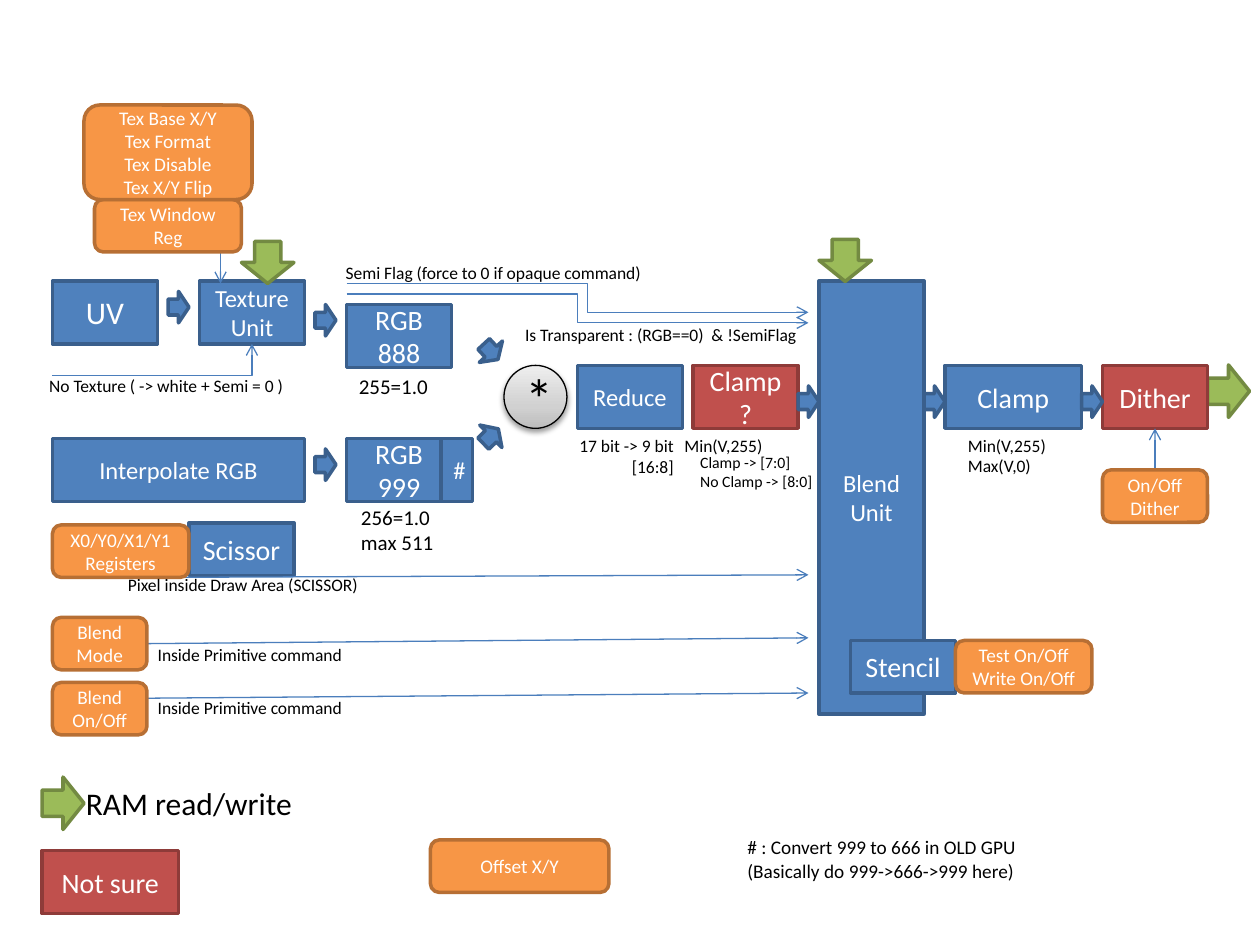
from lxml.etree import SubElement
from pptx import Presentation
from pptx.dml.color import RGBColor
from pptx.enum.shapes import MSO_CONNECTOR, MSO_SHAPE
from pptx.enum.text import MSO_ANCHOR, MSO_AUTO_SIZE, PP_ALIGN
from pptx.oxml.ns import qn
from pptx.util import Pt

BLUE = ("4F81BD", "3A5F8C")
RED = ("C0504D", "8E3B39")
GREEN = ("9BBB59", "738A42")
ORANGE = ("F79646", "B76F34")
WIRE, BLACK, WHITE = "4B7EBC", "000000", "FFFFFF"


def rgb(value):
    """Turn a hex string into a colour."""
    return RGBColor.from_string(value)


def node(parent, tag, **attrs):
    """Append a drawing element with attributes."""
    return SubElement(parent, qn("a:" + tag), {k: str(v) for k, v in attrs.items()})


class Diagram:
    """Draws styled diagram elements on one slide."""

    font = "Calibri"

    def __init__(self, slide):
        """Keep the slide to draw on."""
        self.slide = slide

    def add_text(self, tf, text, size, color, aligns):
        """Fill a frame: newline parts paragraphs, vertical tab breaks a line."""
        for i, line in enumerate(text.split("\n")):
            p = tf.paragraphs[0] if i == 0 else tf.add_paragraph()
            p.alignment = aligns[min(i, len(aligns) - 1)]
            for j, part in enumerate(line.split("\v")):
                if j:
                    p.add_line_break()
                r = p.add_run()
                r.text = part
                r.font.name = self.font
                r.font.size = Pt(size)
                r.font.color.rgb = rgb(color)

    def shape(self, kind, x, y, w, h, colors, text="", size=11, rot=0):
        """Add a filled preset shape with centred text."""
        sp = self.slide.shapes.add_shape(kind, Pt(x), Pt(y), Pt(w), Pt(h))
        sp.shadow.inherit = False
        sp.fill.solid()
        sp.fill.fore_color.rgb = rgb(colors[0])
        sp.line.color.rgb = rgb(colors[1])
        sp.line.width = Pt(2)
        sp.rotation = rot
        if text:
            sp.text_frame.vertical_anchor = MSO_ANCHOR.MIDDLE
            self.add_text(sp.text_frame, text, size, WHITE, [PP_ALIGN.CENTER])
        return sp

    def box(self, x, y, text, size=16, w=60, h=36, colors=BLUE):
        """Add a processing unit."""
        self.shape(MSO_SHAPE.RECTANGLE, x, y, w, h, colors, text, size)

    def register(self, x, y, text, w, h=30):
        """Add a rounded register box."""
        self.shape(MSO_SHAPE.ROUNDED_RECTANGLE, x, y, w, h, ORANGE, text)

    def flow(self, x, y):
        """Add a small blue arrow to the next unit."""
        self.shape(MSO_SHAPE.RIGHT_ARROW, x, y, 12, 18, BLUE)

    def ram(self, x, y, rot=0):
        """Add a green memory arrow."""
        self.shape(MSO_SHAPE.DOWN_ARROW, x, y, 30, 24, GREEN, rot=rot)

    def multiplier(self, x, y, size):
        """Add the round multiply unit with gradient and shadow."""
        sp = self.slide.shapes.add_shape(MSO_SHAPE.OVAL, Pt(x), Pt(y), Pt(size), Pt(size))
        sp.shadow.inherit = False
        sp.fill.gradient()
        sp.line.color.rgb = rgb(BLACK)
        sp.line.width = Pt(0.75)
        spPr = sp._element.spPr
        grad = spPr.find(qn("a:gradFill"))
        for child in list(grad):
            grad.remove(child)
        stops = node(grad, "gsLst")
        for pos, color in ((0, "BDBDBD"), (35, "D1D1D1"), (100, "EEEEEE")):
            node(node(stops, "gs", pos=pos * 1000), "srgbClr", val=color)
        node(grad, "lin", ang=270 * 60000, scaled=0)
        shadow = node(spPr.find(qn("a:effectLst")), "outerShdw", blurRad=Pt(3.1),
                      dist=Pt(1.6), dir=90 * 60000, rotWithShape=0)
        node(node(shadow, "srgbClr", val=BLACK), "alpha", val=38000)
        sp.text_frame.vertical_anchor = MSO_ANCHOR.MIDDLE
        self.add_text(sp.text_frame, "*", 32, BLACK, [PP_ALIGN.CENTER])

    def wire(self, x1, y1, x2, y2, bend=None, adj=None):
        """Add a thin arrow, straight or with a bent preset."""
        kind = MSO_CONNECTOR.ELBOW if bend else MSO_CONNECTOR.STRAIGHT
        c = self.slide.shapes.add_connector(kind, Pt(x1), Pt(y1), Pt(x2), Pt(y2))
        c.line.color.rgb = rgb(WIRE)
        c.line.width = Pt(0.75)
        spPr = c._element.spPr
        node(spPr.find(qn("a:ln")), "tailEnd", type="arrow")
        node(spPr, "effectLst")
        if bend:
            geom = spPr.find(qn("a:prstGeom"))
            geom.set("prst", bend)
            if adj:
                node(geom.find(qn("a:avLst")), "gd", name="adj1", fmla=f"val {adj}")

    def label(self, x, y, w, h, text, size=10, aligns=(PP_ALIGN.LEFT,)):
        """Add a plain text label."""
        tb = self.slide.shapes.add_textbox(Pt(x), Pt(y), Pt(w), Pt(h))
        tf = tb.text_frame
        tf.word_wrap = False
        tf.auto_size = MSO_AUTO_SIZE.SHAPE_TO_FIT_TEXT
        self.add_text(tf, text, size, BLACK, aligns)


prs = Presentation()
prs.slide_width, prs.slide_height = Pt(720), Pt(540)
d = Diagram(prs.slides.add_slide(prs.slide_layouts[6]))

TEX_Y, MAIN_Y, RGB_Y = 160.5, 208.8, 250.5

# Pipeline units
d.ram(687, 211.5, 270)
d.box(30, TEX_Y, "UV", 18)
d.box(114, TEX_Y, "Texture\nUnit", 14)
d.box(198, 174, "RGB\n888")
d.box(198, RGB_Y, "RGB\n999")
d.box(252, RGB_Y, "#", 14, w=18)
d.box(30, RGB_Y, "Interpolate RGB", 14, w=144)
d.multiplier(288, MAIN_Y, 36)
d.box(330, MAIN_Y, "Reduce", 14)
d.box(396, MAIN_Y, "Clamp ?", colors=RED)
d.box(468, TEX_Y, "Blend\nUnit", 14, h=247.5)
d.box(540, MAIN_Y, "Clamp", w=78)
d.box(630, MAIN_Y, "Dither", colors=RED)
d.box(486, 366, "Stencil", h=30)
d.box(108, 298.8, "Scissor", h=30)
d.box(24, 486, "Not sure", w=78, colors=RED)

# Arrows
for x, y in ((96, 166.5), (180, 174), (180, 256.5), (456, 220.5), (528, 220.5), (618, 220.5)):
    d.flow(x, y)
for y, rot in ((195, 317.2), (243.3, 225.4)):
    d.shape(MSO_SHAPE.DOWN_ARROW, 271.5, y, 18, 12, BLUE, rot=rot)
d.ram(138, 138)
d.ram(468, 136.8)
d.ram(21, 447, 270)

# Signals
BLEND_IN = 462
d.wire(30, 214.5, 144, 196.5, "bentConnector2")
d.wire(198, 162, BLEND_IN, 178.5, "bentConnector3", 52200)
d.wire(198, 168, BLEND_IN, 184.5, "bentConnector3", 50000)
d.wire(78, 330, BLEND_IN, 328.5)
d.wire(84, 367.8, BLEND_IN, 364.5)
d.wire(84, 399, BLEND_IN, 396)
d.wire(660, 268.5, 660, 244.8)
d.wire(126, 144, 126, 162)

# Registers
for x, y, text, w in (
    (54, 114, "Tex Window\nReg", 84),
    (30, 300, "X0/Y0/X1/Y1 Registers", 78),
    (30, 352.8, "Blend\nMode", 54),
    (30, 390, "Blend\vOn/Off", 54),
    (630, 268.5, "On/Off\nDither", 60),
    (546, 366, "Test On/Off\vWrite On/Off", 78),
    (246, 480, "Offset X/Y", 102),
):
    d.register(x, y, text, w)
d.register(48, 60, "Tex Base X/Y\vTex Format\vTex Disable\vTex X/Y Flip", 96, 54)

# Labels
for x, y, w, text in (
    (21, 211, 151, "No Texture ( -> white + Semi = 0 )"),
    (190.5, 146.2, 186, "Semi Flag (force to 0 if opaque command)"),
    (293, 181.5, 175, "Is Transparent : (RGB==0)  & !SemiFlag"),
    (66, 324.7, 148, "Pixel inside Draw Area (SCISSOR)"),
    (83, 364.5, 121, "Inside Primitive command"),
    (83, 394.5, 121, "Inside Primitive command"),
    (384, 244.8, 60.5, "Min(V,255)"),
    (546, 244.8, 60.5, "Min(V,255)"),
    (546, 256.5, 52, "Max(V,0)"),
):
    d.label(x, y, w, 19.4, text)
d.label(198, 210, 55, 21.8, "255=1.0", 12)
d.label(199.2, 284.5, 57, 36, "256=1.0\nmax 511", 12)
d.label(324, 244.8, 69, 31.5, "17 bit -> 9 bit\n[16:8]", aligns=(PP_ALIGN.LEFT, PP_ALIGN.RIGHT))
d.label(393, 255, 79, 29, "Clamp -> [7:0]\nNo Clamp -> [8:0]", 9)
d.label(42, 444.5, 133, 29, "RAM read/write", 18)
d.label(420, 474, 173, 34,
        "# : Convert 999 to 666 in OLD GPU\v(Basically do 999->666->999 here)", 11)

prs.save("out.pptx")
